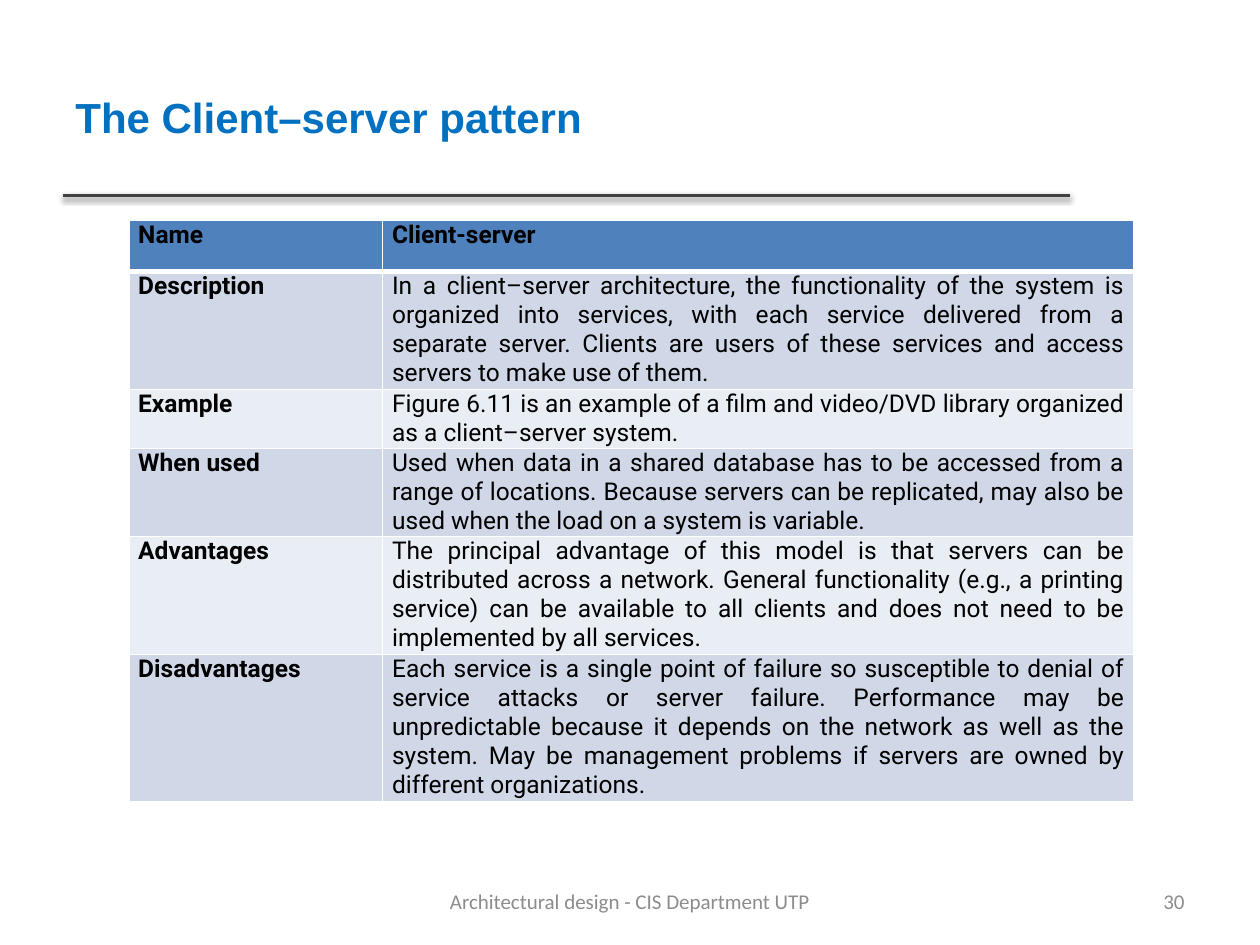
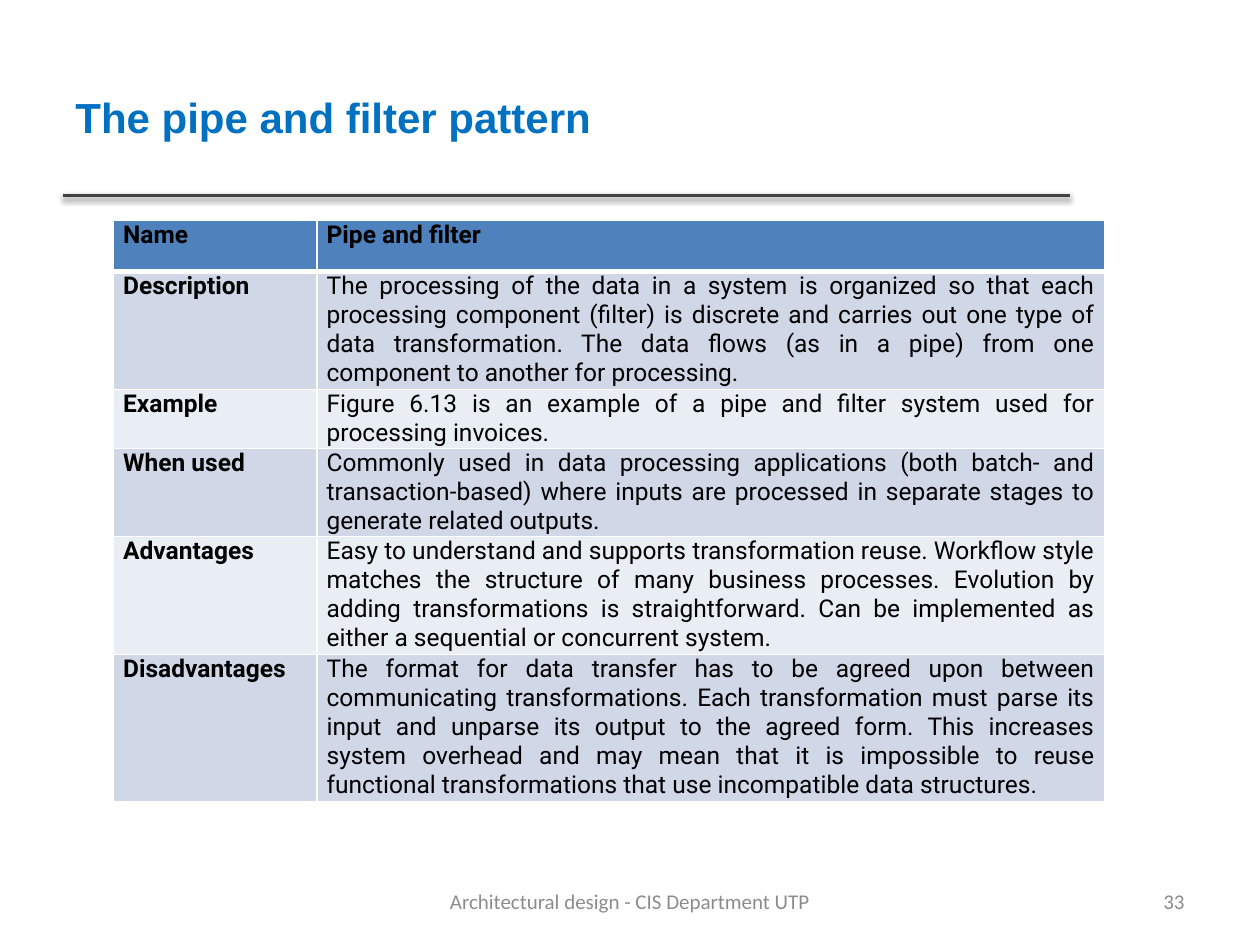
from dataclasses import dataclass

from lxml import etree
from pptx import Presentation
from pptx.dml.color import RGBColor
from pptx.enum.shapes import MSO_CONNECTOR
from pptx.enum.text import MSO_ANCHOR, PP_ALIGN
from pptx.oxml import parse_xml
from pptx.oxml.ns import nsdecls, qn
from pptx.util import Pt

LEFT, CENTER, RIGHT, JUSTIFY = PP_ALIGN.LEFT, PP_ALIGN.CENTER, PP_ALIGN.RIGHT, PP_ALIGN.JUSTIFY
MIDDLE, TOP = MSO_ANCHOR.MIDDLE, MSO_ANCHOR.TOP
STRAIGHT = MSO_CONNECTOR.STRAIGHT


@dataclass(frozen=True)
class Theme:
    title: str = "0070C0"
    rule: str = "404040"
    footer: str = "8C8C8C"
    text: str = "000000"
    border: str = "FFFFFF"
    header: str = "4F81BD"
    bands: tuple = ("D0D8E8", "E9EDF4")
    title_font: str = "Arial"
    table_font: str = "Roboto"
    footer_font: str = "Calibri"
    title_size: int = 24
    table_size: int = 14
    footer_size: int = 12
    line_height: float = 16.57
    header_height: float = 29.3


class PatternDeck:
    FOOTER = "Architectural design - CIS Department UTP"
    ROW_NAMES = ("Name", "Description", "Example", "When used", "Advantages", "Disadvantages")
    ROW_LINES = (4, 2, 3, 4, 5)

    def __init__(self, theme):
        self.theme = theme
        self.deck = Presentation()
        self.deck.slide_width, self.deck.slide_height = Pt(720), Pt(540)
        self.page = None

    def fill_frame(self, frame, text, color, align=LEFT, **font):
        para = frame.paragraphs[0]
        para.alignment = align
        span = para.add_run()
        span.text = text
        for name, value in font.items():
            setattr(span.font, name, value)
        span.font.color.rgb = RGBColor.from_string(color)

    def add_text(self, text, left, top, width, height, color, **style):
        box = self.page.shapes.add_textbox(Pt(left), Pt(top), Pt(width), Pt(height))
        for name, value in {"word_wrap": True, "vertical_anchor": MIDDLE}.items():
            setattr(box.text_frame, name, value)
        self.fill_frame(box.text_frame, text, color, **style)

    def add_rule(self):
        rule = self.page.shapes.add_connector(STRAIGHT, Pt(36), Pt(111.6), Pt(611.3), Pt(111.6))
        rule.line.color.rgb = RGBColor.from_string(self.theme.rule)
        rule.line.width = Pt(2)
        effects = etree.SubElement(rule._element.spPr, qn("a:effectLst"))
        effects.append(parse_xml(
            f'<a:outerShdw {nsdecls("a")} blurRad="{Pt(3.1)}" dist="{Pt(1.6)}" dir="5400000" '
            'rotWithShape="0"><a:srgbClr val="000000"><a:alpha val="38000"/></a:srgbClr></a:outerShdw>'))

    def add_borders(self, cell, row):
        widths = {"L": 1, "R": 1, "T": 3 if row == 1 else 1, "B": 3 if row == 0 else 1}
        for side, width in widths.items():
            cell._tc.get_or_add_tcPr().append(parse_xml(
                f'<a:ln{side} {nsdecls("a")} w="{Pt(width)}"><a:solidFill>'
                f'<a:srgbClr val="{self.theme.border}"/></a:solidFill></a:ln{side}>'))

    def add_cell(self, cell, text, row, bold):
        theme = self.theme
        margins = {"margin_left": Pt(5.4), "margin_right": Pt(5.4), "margin_top": 0,
                   "margin_bottom": 0, "vertical_anchor": TOP}
        for name, value in margins.items():
            setattr(cell, name, value)
        self.add_borders(cell, row)
        cell.fill.solid()
        fill = theme.bands[(row - 1) % 2] if row else theme.header
        cell.fill.fore_color.rgb = RGBColor.from_string(fill)
        self.fill_frame(cell.text_frame, text, theme.text, JUSTIFY,
                        name=theme.table_font, size=Pt(theme.table_size), bold=bold)

    def add_table(self, left, widths, details):
        theme = self.theme
        heights = [theme.header_height] + [lines * theme.line_height for lines in self.ROW_LINES]
        table = self.page.shapes.add_table(
            len(heights), len(widths), Pt(left), Pt(126), Pt(sum(widths)), Pt(sum(heights))).table
        for column, width in zip(table.columns, widths):
            column.width = Pt(width)
        for row, (height, name, detail) in enumerate(zip(heights, self.ROW_NAMES, details)):
            table.rows[row].height = Pt(height)
            self.add_cell(table.cell(row, 0), name, row, True)
            self.add_cell(table.cell(row, 1), detail, row, row == 0)

    def add_page(self, title, number, left, widths, details):
        theme = self.theme
        self.page = self.deck.slides.add_slide(self.deck.slide_layouts[6])
        self.add_rule()
        self.add_text(title, 36, 21.6, 575, 90, theme.title,
                      name=theme.title_font, size=Pt(theme.title_size), bold=True)
        self.add_table(left, widths, details)
        footer = {"name": theme.footer_font, "size": Pt(theme.footer_size)}
        self.add_text(str(number), 516, 500.5, 168, 28.8, theme.footer, align=RIGHT, **footer)
        self.add_text(self.FOOTER, 246, 500.5, 228, 28.8, theme.footer, align=CENTER, **footer)


CLIENT_SERVER = (
    "Client-server",
    "In a client–server architecture, the functionality of the system is organized into services, "
    "with each service delivered from a separate server. Clients are users of these services and "
    "access servers to make use of them.",
    "Figure 6.11 is an example of a film and video/DVD library organized as a client–server system.",
    "Used when data in a shared database has to be accessed from a range of locations. Because "
    "servers can be replicated, may also be used when the load on a system is variable.",
    "The principal advantage of this model is that servers can be distributed across a network. "
    "General functionality (e.g., a printing service) can be available to all clients and does not "
    "need to be implemented by all services.",
    "Each service is a single point of failure so susceptible to denial of service attacks or "
    "server failure. Performance may be unpredictable because it depends on the network as well as "
    "the system. May be management problems if servers are owned by different organizations.",
)
PIPE_AND_FILTER = (
    "Pipe and filter",
    "The processing of the data in a system is organized so that each processing component (filter) "
    "is discrete and carries out one type of data transformation. The data flows (as in a pipe) "
    "from one component to another for processing.",
    "Figure 6.13 is an example of a pipe and filter system used for processing invoices.",
    "Commonly used in data processing applications (both batch- and transaction-based) where inputs "
    "are processed in separate stages to generate related outputs.",
    "Easy to understand and supports transformation reuse. Workflow style matches the structure of "
    "many business processes. Evolution by adding transformations is straightforward. Can be "
    "implemented as either a sequential or concurrent system.",
    "The format for data transfer has to be agreed upon between communicating transformations. Each "
    "transformation must parse its input and unparse its output to the agreed form. This increases "
    "system overhead and may mean that it is impossible to reuse functional transformations that "
    "use incompatible data structures.",
)


def main():
    patterns = PatternDeck(Theme())
    patterns.add_page("The Client–server pattern", 30, 73.6, (145.1, 429.4), CLIENT_SERVER)
    patterns.add_page("The pipe and filter pattern", 33, 65, (116.3, 449.8), PIPE_AND_FILTER)
    patterns.deck.save("out.pptx")


if __name__ == "__main__":
    main()
